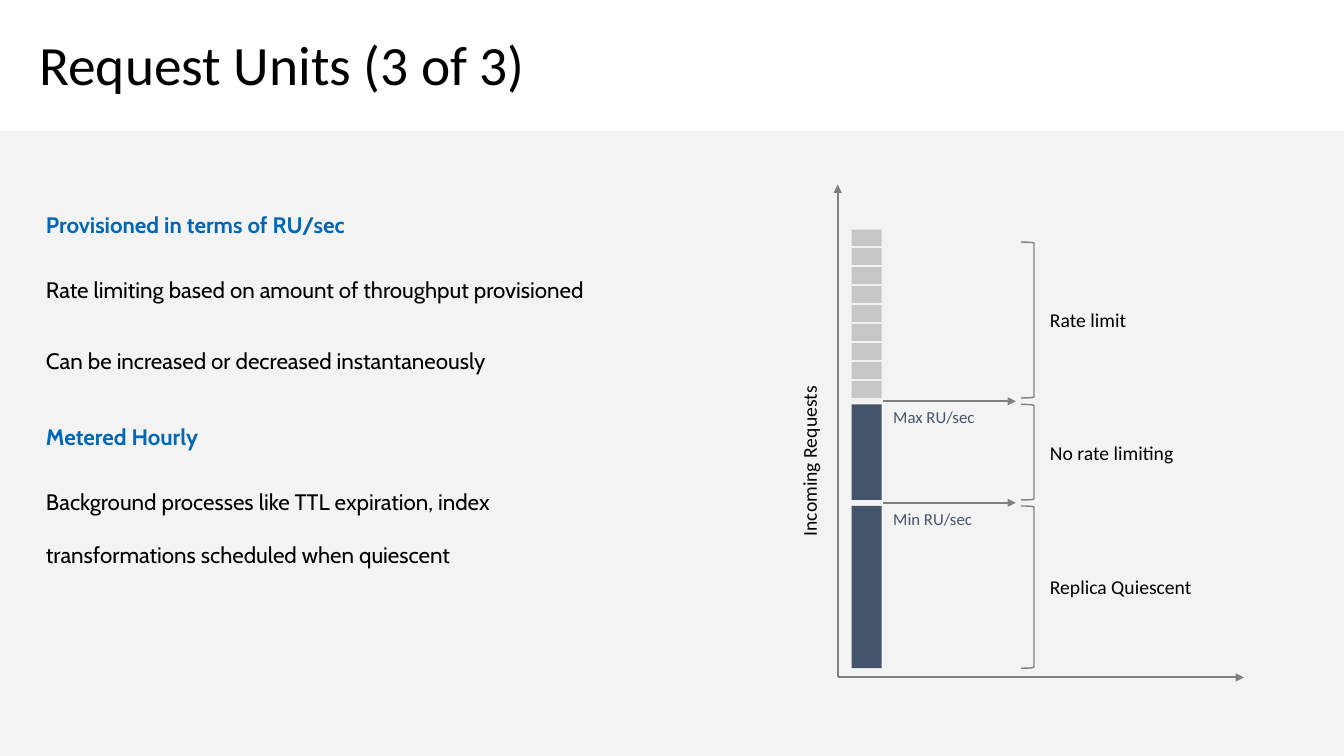
from dataclasses import dataclass

from lxml.etree import SubElement
from pptx import Presentation
from pptx.dml.color import RGBColor
from pptx.enum.shapes import MSO_CONNECTOR, MSO_SHAPE
from pptx.enum.text import MSO_ANCHOR, PP_ALIGN
from pptx.oxml.ns import qn
from pptx.util import Cm, Pt


@dataclass(frozen=True)
class Theme:
    """Colours, fonts and type sizes of the slide."""
    black: str = "000000"
    blue: str = "0067B7"
    navy: str = "44546A"
    line: str = "808080"
    spare: str = "C7C7C7"
    panel: str = "F2F2F2"
    sans: str = "Calibri"
    body_font: str = "Cabin"
    title: float = 39.6
    body: float = 16
    label: float = 14
    note: float = 12


THEME = Theme()
BODY = [
    ("Provisioned in terms of RU/sec", True),
    ("Rate limiting based on amount of throughput provisioned", False),
    ("Can be increased or decreased instantaneously", False),
    ("Metered Hourly", True),
    ("Background processes like TTL expiration, index transformations "
     "scheduled when quiescent", False),
]
BANDS = [
    ("Rate limit", None, 1.14, 4.24, 0.31, THEME.spare),
    ("No rate limiting", "Max RU/sec", 5.54, 2.41, 0, THEME.navy),
    ("Replica Quiescent", "Min RU/sec", 8.1, 4.09, 0, THEME.navy),
]


def set_font(p, size, color, name=THEME.sans, bold=False):
    """Set the font of a whole paragraph."""
    p.font.size, p.font.name, p.font.bold = Pt(size), name, bold
    p.font.color.rgb = RGBColor.from_string(color)


def add_text(s, x, y, w, h, text, size, color=THEME.black):
    """Add a one-paragraph text box, centred vertically."""
    box = s.shapes.add_textbox(Cm(x), Cm(y), Cm(w), Cm(h))
    tf = box.text_frame
    tf.word_wrap = True
    tf.vertical_anchor = MSO_ANCHOR.MIDDLE
    p = tf.paragraphs[0]
    p.text = text
    set_font(p, size, color)
    return box


def add_block(s, x, y, w, h, color):
    """Add a filled rectangle without outline."""
    sp = s.shapes.add_shape(MSO_SHAPE.RECTANGLE, Cm(x), Cm(y), Cm(w), Cm(h))
    sp.shadow.inherit = False
    sp.fill.solid()
    sp.fill.fore_color.rgb = RGBColor.from_string(color)
    sp.line.fill.background()
    return sp


def add_line(s, x1, y1, x2, y2, color=THEME.line, arrow=True):
    """Add a straight line, with an arrowhead at its end if wanted."""
    cn = s.shapes.add_connector(
        MSO_CONNECTOR.STRAIGHT, Cm(x1), Cm(y1), Cm(x2), Cm(y2))
    cn.line.color.rgb = RGBColor.from_string(color)
    cn.line.width = Pt(1.5)
    if arrow:
        SubElement(cn.line._get_or_add_ln(), qn("a:tailEnd"), type="triangle")
    SubElement(cn._element.spPr, qn("a:effectLst"))


def add_bracket(s, x, y, w, h):
    """Add a right bracket outline."""
    sp = s.shapes.add_shape(MSO_SHAPE.RIGHT_BRACKET, Cm(x), Cm(y), Cm(w), Cm(h))
    sp.shadow.inherit = False
    sp.fill.background()
    sp.line.color.rgb = RGBColor.from_string(THEME.line)
    sp.line.width = Pt(1)


def add_panel(s, x, y, w, h):
    """Place the translucent content panel."""
    sp = add_block(s, x, y, w, h, THEME.panel)
    color = sp._element.spPr.find(qn("a:solidFill")).find(qn("a:srgbClr"))
    SubElement(color, qn("a:alpha"), val="89000")


def add_title(s, x, y, w, h, text):
    """Place the slide title."""
    box = add_text(s, x, y, w, h, text, THEME.title)
    box.text_frame.paragraphs[0].line_spacing = 0.9


def add_body(s, x, y, w, h):
    """Place the headings and their statements."""
    tf = s.shapes.add_textbox(Cm(x), Cm(y), Cm(w), Cm(h)).text_frame
    tf.word_wrap = True
    tf.margin_left = tf.margin_right = Cm(0.4)
    tf.margin_top = tf.margin_bottom = Cm(0.25)
    for i, (text, heading) in enumerate(BODY):
        p = tf.add_paragraph() if i else tf.paragraphs[0]
        p.text = text
        p.line_spacing = 2.0
        if i:
            p.space_before = Pt(12 if heading else 8)
        if not heading:
            p.level = 1
            p.space_after = Pt(4)
            pPr = p._p.get_or_add_pPr()
            pPr.set("marL", "0")
            pPr.set("indent", "0")
        set_font(p, THEME.body, THEME.blue if heading else THEME.black,
                 THEME.body_font, heading)


def add_band(s, x, y, band):
    """Place one band with its bracket, label and threshold arrow."""
    label, threshold, top, height, inset, color = band
    top += y
    add_block(s, x + 0.35, top, 0.76, height, color)
    add_bracket(s, x + 4.62, top + inset, 0.33, height - inset)
    middle = top + (height + inset) / 2
    add_text(s, x + 5.1, middle - 0.43, 5.1, 0.86, label, THEME.label)
    if threshold:
        add_line(s, x + 1.14, top - 0.08, x + 4.49, top - 0.08)
        add_text(s, x + 1.15, top - 0.07, 3.12, 0.77, threshold,
                 THEME.note, THEME.navy)
    else:
        for i in range(8):
            cut = top + 0.43 + 0.48 * i
            add_line(s, x + 0.23, cut, x + 1.24, cut, THEME.panel, False)


def add_diagram(s, x, y, w, h):
    """Place the request axes and the stacked bands."""
    for band in BANDS:
        add_band(s, x, y, band)
    add_line(s, x, y + h, x, y)
    add_line(s, x, y + h, x + w, y + h)
    box = add_text(s, x - 4.2, y + 6.54, 6.96, 0.86,
                   "Incoming Requests", THEME.label)
    box.rotation = 270
    box.text_frame.paragraphs[0].alignment = PP_ALIGN.CENTER


def main():
    """Build and save the slide."""
    prs = Presentation()
    prs.slide_width, prs.slide_height = Cm(33.87), Cm(19.05)
    s = prs.slides.add_slide(prs.slide_layouts[6])
    add_panel(s, 0, 3.3, 33.87, 15.75)
    add_title(s, 0.74, 0.81, 15.04, 1.8, "Request Units (3 of 3)")
    add_body(s, 0.76, 4.4, 15.8, 10.08)
    add_diagram(s, 21.11, 4.65, 10.24, 12.42)
    prs.save("out.pptx")


if __name__ == "__main__":
    main()
